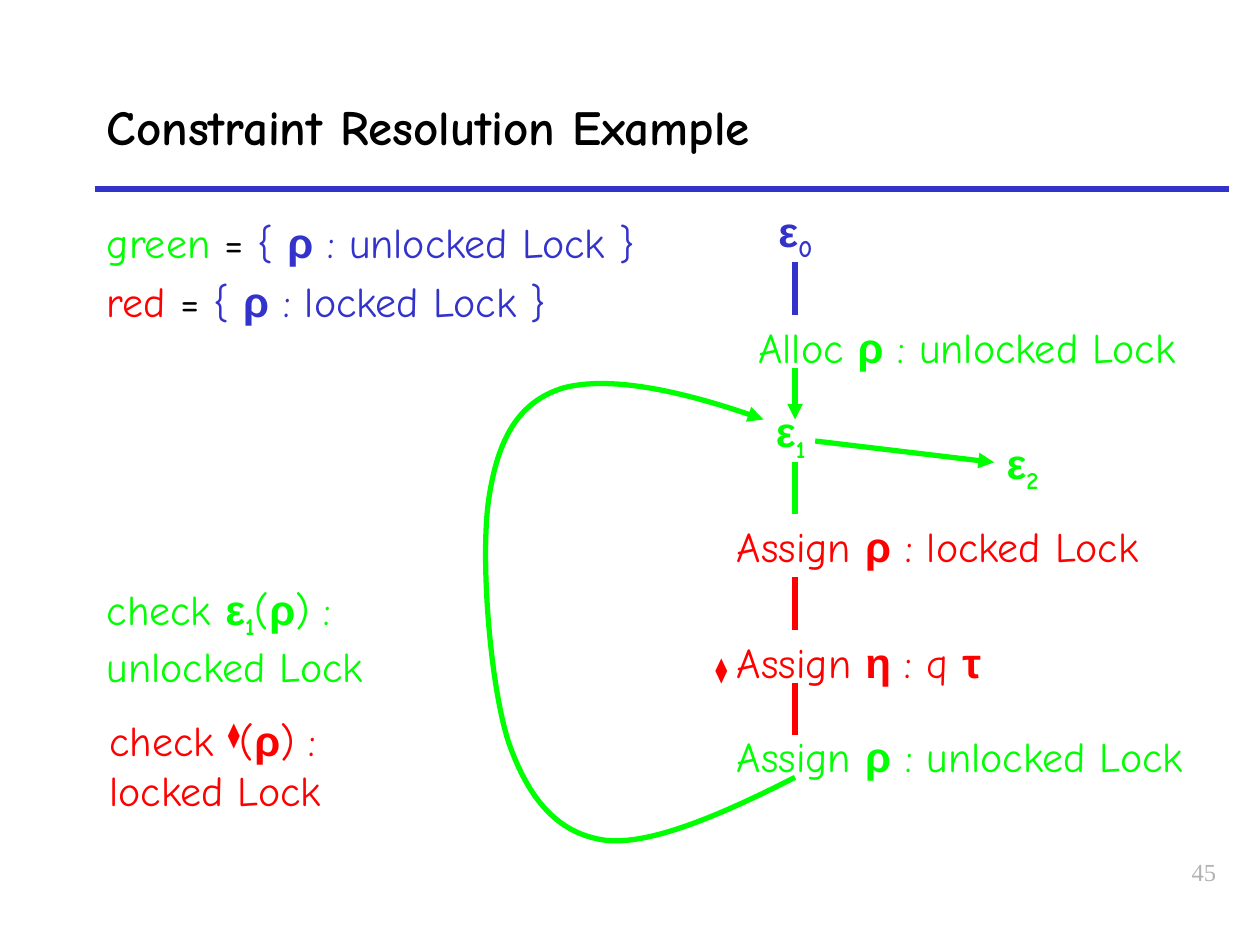
from lxml.etree import SubElement
from pptx import Presentation
from pptx.dml.color import RGBColor
from pptx.enum.shapes import MSO_CONNECTOR
from pptx.enum.text import MSO_ANCHOR, MSO_AUTO_SIZE as AUTO, PP_ALIGN
from pptx.oxml.ns import qn
from pptx.util import Inches, Pt

THEME = {
    "blue": "3333CC", "green": "00FF00", "red": "FF0000",
    "black": "000000", "gray": "B2B2B2",
    "title": 28, "body": 24, "number": 14, "line": 3,
}
# Run styles: font name, bold, baseline shift in thousandths of a percent
STYLES = {
    "plain": ("Comic Neue", False, 0),
    "bold": ("Comic Neue", True, 0),
    "greek": ("Arial", True, 0),
    "sub": ("Comic Neue", True, -25000),
    "sup": ("Comic Neue", False, 30000),
    "serif": ("Times New Roman", False, 0),
}

prs = Presentation()
prs.slide_width, prs.slide_height = Inches(10), Inches(7.5)
s = prs.slides.add_slide(prs.slide_layouts[6])


def add_text(box, paragraphs, color, size="body", **frame):
    """Add a text box; each run is (text, style) or (text, style, colour)."""
    sp = s.shapes.add_textbox(*map(Inches, box))
    tf = sp.text_frame
    for name, value in {"word_wrap": True, **frame}.items():
        setattr(tf, name, value)
    for i, runs in enumerate(paragraphs):
        p = tf.add_paragraph() if i else tf.paragraphs[0]
        if i:
            p.space_before = Pt(4.8)
        for text, style, *own in runs:
            font, bold, shift = STYLES[style]
            r = p.add_run()
            r.text = text
            for name, value in {"name": font, "bold": bold, "size": Pt(THEME[size])}.items():
                setattr(r.font, name, value)
            r.font.color.rgb = RGBColor.from_string(THEME[own[0] if own else color])
            if shift:
                r.font._element.set("baseline", str(shift))
    return tf


def style_line(sp, color, arrow=False):
    """Colour a line, drop its shadow and give it an arrowhead if wanted."""
    sp.line.color.rgb = RGBColor.from_string(THEME[color])
    sp.line.width = Pt(THEME["line"])
    if arrow:
        SubElement(sp.line._get_or_add_ln(), qn("a:tailEnd"), type="triangle")
    if sp._element.spPr.find(qn("a:effectLst")) is None:
        SubElement(sp._element.spPr, qn("a:effectLst"))


# Title and slide number
add_text((0.75, 0.5, 9, 1), [[("Constraint Resolution Example", "bold")]],
         "black", "title", vertical_anchor=MSO_ANCHOR.MIDDLE)
number = add_text((7.67, 6.75, 2.08, 0.5), [[("45", "serif")]], "gray", "number")
number.paragraphs[0].alignment = PP_ALIGN.RIGHT

# Loop back from the last assignment to the first state
loop = [(6.31, 6.17), (5.78, 6.44), (5.18, 6.71), (4.81, 6.67), (4.43, 6.62),
        (4.2, 6.35), (4.04, 5.9), (3.89, 5.45), (3.81, 4.43), (3.88, 3.96),
        (3.95, 3.49), (4.11, 3.19), (4.47, 3.08), (4.84, 2.98), (5.48, 3.12),
        (6.06, 3.33)]
points = [(Inches(x), Inches(y)) for x, y in loop]
builder = s.shapes.build_freeform(*points[0], scale=1.0)
builder.add_line_segments(points[1:], close=False)
sp = builder.convert_to_shape()
sp.shadow.inherit = False
sp.fill.background()
style_line(sp, "green", arrow=True)
# Every three straight segments become one Bezier curve
path = next(sp._element.iter(qn("a:path")))
segments = path.findall(qn("a:lnTo"))
for i in range(0, len(segments), 3):
    curve = SubElement(path, qn("a:cubicBezTo"))
    for segment in segments[i:i + 3]:
        curve.append(segment[0])
        path.remove(segment)

# Title rule and the flow between states
AXIS = 6.31
for x1, y1, x2, y2, color, arrow in [
    (0.75, 1.5, 9.75, 1.5, "blue", False),
    (AXIS, 2.08, AXIS, 2.5, "blue", False),
    (AXIS, 2.92, AXIS, 3.33, "green", True),
    (AXIS, 3.67, AXIS, 4.08, "green", False),
    (AXIS, 4.58, AXIS, 5, "red", False),
    (AXIS, 5.42, AXIS, 5.83, "red", False),
    (6.47, 3.5, 7.89, 3.67, "green", True),
]:
    sp = s.shapes.add_connector(MSO_CONNECTOR.STRAIGHT, *map(Inches, (x1, y1, x2, y2)))
    style_line(sp, color, arrow)

# States
for x, y, index, color in [(6.08, 1.58, "0", "blue"), (6.06, 3.17, "1", "green"),
                           (7.89, 3.42, "2", "green")]:
    add_text((x, y, 0.67, 0.5), [[("ε", "greek"), (index, "sub")]], color,
             auto_size=AUTO.SHAPE_TO_FIT_TEXT)

# Statements and checks
RHO = ("ρ", "greek")
DIAMOND = ("⧫", "sup")
UNLOCKED, LOCKED = (" : unlocked Lock", "plain"), (" : locked Lock", "plain")
ASSIGN, CHECK, OPEN = ("Assign ", "plain"), ("check ", "plain"), ("(", "plain")
for box, color, runs in [
    ((5.92, 2.5, 3.83, 0.5), "green", [("Alloc ", "plain"), RHO, UNLOCKED]),
    ((5.75, 4.08, 3.67, 0.5), "red", [ASSIGN, RHO, LOCKED]),
    ((5.75, 5, 4.25, 0.5), "red",
     [ASSIGN, ("η", "greek"), (" : q ", "plain"), ("τ", "greek")]),
    ((5.75, 5.75, 4, 0.5), "green", [ASSIGN, RHO, UNLOCKED]),
    ((0.75, 4.58, 2.77, 0.9), "green",
     [CHECK, ("ε", "greek"), ("1", "sub"), OPEN, RHO, (") : unlocked Lock", "plain")]),
    ((0.77, 5.62, 2.77, 0.9), "red",
     [CHECK, DIAMOND, OPEN, RHO, (") : locked Lock", "plain")]),
]:
    add_text(box, [runs], color, auto_size=AUTO.SHAPE_TO_FIT_TEXT)
add_text((5.58, 5.1, 0.37, 0.37), [[DIAMOND]], "red", word_wrap=False,
         auto_size=AUTO.SHAPE_TO_FIT_TEXT)

# Colour key
add_text((0.75, 1.67, 4.83, 1.17), [
    [(name, "plain", name), (" = ", "plain", "black"), ("{ ", "plain"), RHO,
     (f" : {state} Lock }}", "plain")]
    for name, state in [("green", "unlocked"), ("red", "locked")]
], "blue")

prs.save("out.pptx")
